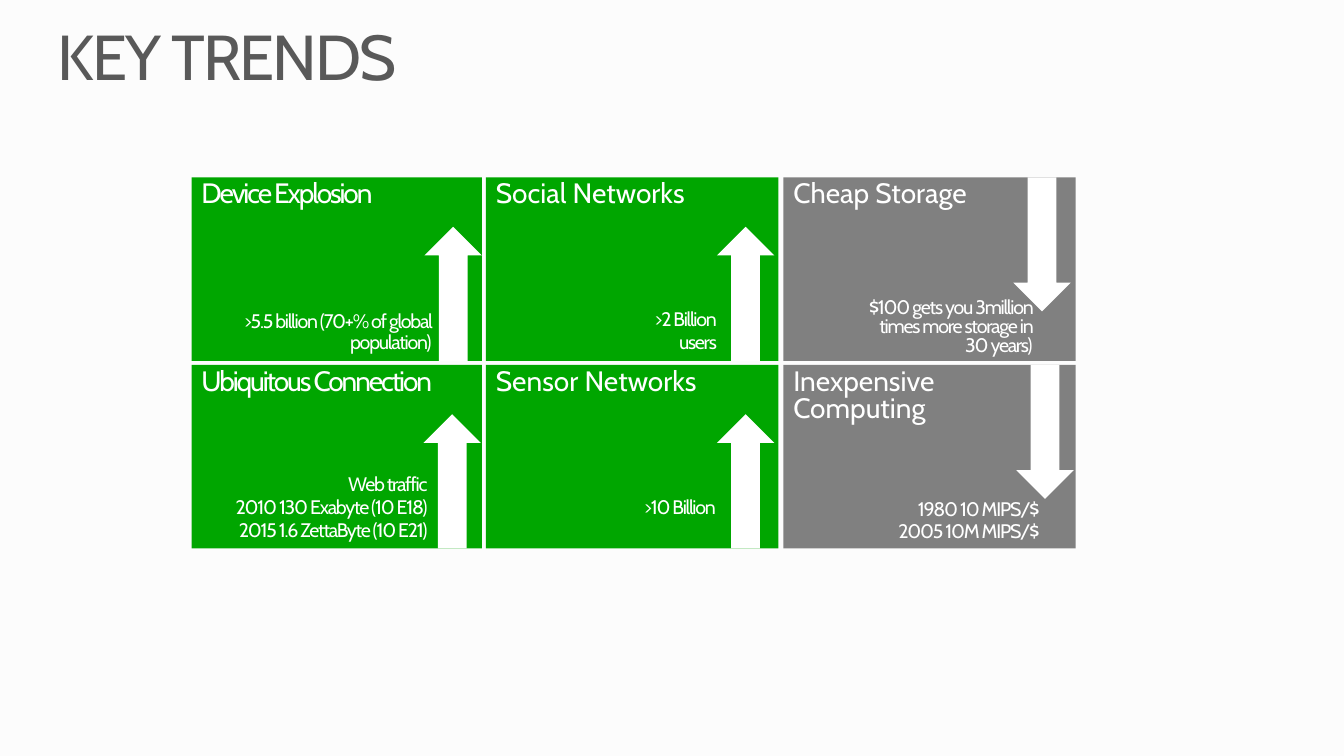
"""Build the Key Trends slide: a grid of six tiles with trend arrows."""
from pptx import Presentation
from pptx.dml.color import RGBColor
from pptx.enum.shapes import MSO_SHAPE
from pptx.enum.text import MSO_ANCHOR, PP_ALIGN
from pptx.util import Inches, Pt


def paint(fill, color):
    fill.solid()
    fill.fore_color.rgb = RGBColor.from_string(color)


def write(frame, text, size, color, tracking, align, line_spacing, before=0):
    frame.word_wrap = True
    frame.vertical_anchor = MSO_ANCHOR.TOP
    frame.text = text
    for para in frame.paragraphs:
        para.alignment = align
        para.line_spacing = line_spacing
        para.space_before = Pt(before)
        for span in para.runs:
            span.font.name = "Cabin"
            span.font.size = Pt(size)
            paint(span.font.fill, color)
            span._r.get_or_add_rPr().set("spc", str(round(tracking * 100)))


GREEN, GRAY, WHITE = "00A600", "808080", "FFFFFF"
UP, DOWN = MSO_SHAPE.UP_ARROW, MSO_SHAPE.DOWN_ARROW
TILE_HEIGHT = 1.82
ARROW_WIDTH, ARROW_HEIGHT = 0.57, 1.33

columns = [(1.9, 2.88, GREEN, UP), (4.82, 2.9, GREEN, UP), (7.77, 2.9, GRAY, DOWN)]
rows = [1.76, 3.62]

# heading, heading tracking, arrow left, detail, detail box, detail line spacing
trends = [
    [
        ("Device Explosion", -1.5, 4.21, ">5.5 billion (70+% of global population)",
         (2.31, 3.09, 1.97, 0.42), 0.9),
        ("Social Networks", 0, 7.11, ">2 Billion\nusers", (5.36, 3.09, 1.75, 0.42), 0.8),
        ("Cheap Storage", 0, 10.05, "$100 gets you 3million times more storage in 30 years)",
         (8.55, 2.97, 1.69, 0.57), 0.8),
    ],
    [
        ("Ubiquitous Connection", -1.5, 4.2,
         "Web traffic\n2010 130 Exabyte (10 E18)\n2015 1.6 ZettaByte (10 E21)",
         (1.84, 4.73, 2.4, 0.66), 0.8),
        ("Sensor Networks", 0, 7.11, ">10 Billion", (5.32, 4.95, 1.78, 0.2), 0.8),
        ("Inexpensive Computing", 0, 10.08, "1980 10 MIPS/$\n2005 10M MIPS/$",
         (8.67, 4.97, 1.64, 0.42), 0.8),
    ],
]

deck = Presentation()
deck.slide_width, deck.slide_height = Inches(13.33), Inches(7.5)
page = deck.slides.add_slide(deck.slide_layouts[5])
paint(page.background.fill, "FCFCFC")

title = page.shapes.title
title.left, title.top = Inches(0.57), Inches(0.25)
title.width, title.height = Inches(12.19), Inches(0.82)
frame = title.text_frame
frame.margin_left = frame.margin_right = frame.margin_top = frame.margin_bottom = 0
write(frame, "KEY TRENDS", 45.3, "595959", -1.4, PP_ALIGN.LEFT, 0.9)

for top, row in zip(rows, trends):
    for (left, width, color, direction), trend in zip(columns, row):
        heading, tracking, arrow_left, detail, detail_box, spacing = trend
        arrow_top = top if direction == DOWN else top + TILE_HEIGHT - ARROW_HEIGHT
        tile = page.shapes.add_shape(
            MSO_SHAPE.RECTANGLE, Inches(left), Inches(top), Inches(width), Inches(TILE_HEIGHT))
        arrow = page.shapes.add_shape(
            direction, Inches(arrow_left), Inches(arrow_top),
            Inches(ARROW_WIDTH), Inches(ARROW_HEIGHT))
        for shape, shade in ((tile, color), (arrow, WHITE)):
            paint(shape.fill, shade)
            shape.line.fill.background()
            shape.shadow.inherit = False
        write(tile.text_frame, heading, 20, WHITE, tracking, PP_ALIGN.LEFT, 0.8)

        box = page.shapes.add_textbox(*map(Inches, detail_box))
        frame = box.text_frame
        frame.margin_left = frame.margin_right = frame.margin_top = frame.margin_bottom = 0
        write(frame, detail, 14, WHITE, -0.9, PP_ALIGN.RIGHT, spacing, before=2.8)

deck.save("out.pptx")
